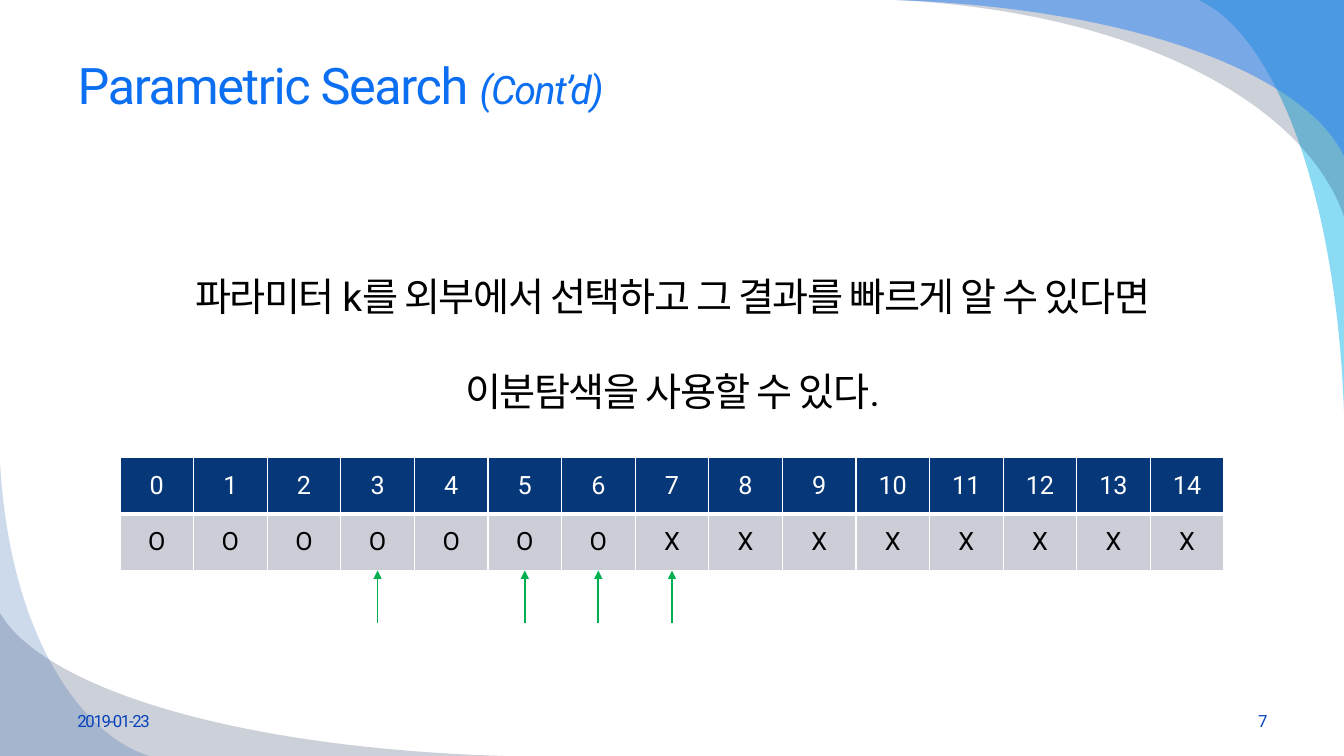
from lxml.etree import SubElement
from pptx import Presentation
from pptx.dml.color import RGBColor
from pptx.enum.shapes import MSO_CONNECTOR
from pptx.enum.text import MSO_ANCHOR, PP_ALIGN
from pptx.oxml.ns import qn
from pptx.util import Inches, Pt

FONT = "Roboto"
WHITE = RGBColor(0xFF, 0xFF, 0xFF)
BLACK = RGBColor(0x00, 0x00, 0x00)
CYAN = RGBColor(0x00, 0xB1, 0xE9)
NAVY = RGBColor(0x02, 0x17, 0x41)
BRIGHT_BLUE = RGBColor(0x24, 0x7F, 0xF4)
DEEP_BLUE = RGBColor(0x08, 0x4A, 0xA1)
TITLE_BLUE = RGBColor(0x0C, 0x6F, 0xF2)
FOOTER_BLUE = RGBColor(0x07, 0x43, 0xBC)
HEADER_BLUE = RGBColor(0x06, 0x38, 0x79)
ROW_GRAY = RGBColor(0xCC, 0xCE, 0xD7)
GREEN = RGBColor(0x00, 0xB0, 0x50)

WIDTH, HEIGHT = 13.33, 7.5
CURVE_STEPS = 60
SWOOSHES = [
    ((WIDTH, 4.08), (WIDTH, 0), (11.89, 0), CYAN, 45),
    ((8.89, 0), (WIDTH, 0), (WIDTH, 2.15), NAVY, 20),
    ((8.89, 0), (WIDTH, 0), (WIDTH, 1.55), BRIGHT_BLUE, 49),
    ((5, HEIGHT), (0, HEIGHT), (0, 6.08), NAVY, 20),
    ((0, 4.58), (0, HEIGHT), (1.48, HEIGHT), DEEP_BLUE, 20),
]
ANSWERS = "O" * 7 + "X" * 8
PROBED = [3, 5, 6, 7]


def bezier(t, first, second):
    return 3 * t * (1 - t) ** 2 * first + 3 * t**2 * (1 - t) * second + t**3


def add_swoosh(slide, start, corner, end, color, opacity):
    def curve_point(t):
        along, across = bezier(t, 0.565, 0.921), bezier(t, 0.06, 0.512)
        return tuple(
            Inches(s + along * (c - s) + across * (e - c))
            for s, c, e in zip(start, corner, end)
        )

    outline = slide.shapes.build_freeform(*map(Inches, start))
    curve = [curve_point(step / CURVE_STEPS) for step in range(CURVE_STEPS, 0, -1)]
    outline.add_line_segments([tuple(map(Inches, corner)), *curve])
    swoosh = outline.convert_to_shape()
    swoosh.shadow.inherit = False
    swoosh.line.fill.background()
    swoosh.fill.solid()
    swoosh.fill.fore_color.rgb = color
    tint = swoosh.fill._xPr.find(".//" + qn("a:srgbClr"))
    SubElement(tint, qn("a:alpha"), val=str(opacity * 1000))


def add_tight_run(paragraph, text):
    run = paragraph.add_run()
    run.text = text
    run._r.get_or_add_rPr().set("spc", "-100")
    return run


def style(paragraph, size, color, align):
    paragraph.alignment = align
    paragraph.font.name = FONT
    paragraph.font.size = Pt(size)
    paragraph.font.color.rgb = color


def place_title(slide, left, top, width, height):
    title = slide.shapes.title
    title.left, title.top = Inches(left), Inches(top)
    title.width, title.height = Inches(width), Inches(height)
    title.text_frame.vertical_anchor = MSO_ANCHOR.MIDDLE
    heading = title.text_frame.paragraphs[0]
    style(heading, 36, TITLE_BLUE, PP_ALIGN.LEFT)
    add_tight_run(heading, "Parametric Search ")
    continued = add_tight_run(heading, "(Cont’d)")
    continued.font.size = Pt(28)
    continued.font.italic = True
    title.element.getparent().append(title.element)


def add_text(slide, box, lines, size, color, align, anchor, spacing=1.0):
    frame = slide.shapes.add_textbox(*map(Inches, box)).text_frame
    frame.word_wrap = True
    frame.vertical_anchor = anchor
    for index, line in enumerate(lines):
        paragraph = frame.add_paragraph() if index else frame.paragraphs[0]
        paragraph.line_spacing = spacing
        add_tight_run(paragraph, line)
        style(paragraph, size, color, align)


def add_footer(slide, left, top, width, height):
    part = 3.11
    add_text(slide, (left, top, part, height), ["2019-01-23"], 12,
             FOOTER_BLUE, PP_ALIGN.LEFT, MSO_ANCHOR.MIDDLE)
    add_text(slide, (left + width - part, top, part, height), ["7"], 12,
             FOOTER_BLUE, PP_ALIGN.RIGHT, MSO_ANCHOR.MIDDLE)


def add_border(cell, side, width):
    line = SubElement(cell._tc.get_or_add_tcPr(), qn(f"a:ln{side}"), w=str(Pt(width)))
    SubElement(SubElement(line, qn("a:solidFill")), qn("a:srgbClr"), val=str(WHITE))


def fill_cell(cell, text, fill, color, borders):
    for side, width in borders.items():
        add_border(cell, side, width)
    cell.fill.solid()
    cell.fill.fore_color.rgb = fill
    cell.vertical_anchor = MSO_ANCHOR.MIDDLE
    cell.text = text
    style(cell.text_frame.paragraphs[0], 18, color, PP_ALIGN.CENTER)


def add_arrow(slide, x, bottom, top):
    arrow = slide.shapes.add_connector(
        MSO_CONNECTOR.STRAIGHT, *map(Inches, (x, bottom, x, top)))
    arrow.line.color.rgb = GREEN
    arrow.line.width = Pt(1.25)
    SubElement(arrow.line._get_or_add_ln(), qn("a:tailEnd"), type="triangle")
    SubElement(arrow._element.spPr, qn("a:effectLst"))


def add_search_table(slide, left, top, width, height):
    count = len(ANSWERS)
    table = slide.shapes.add_table(
        2, count, *map(Inches, (left, top, width, height))).table
    column_width = width / count
    for k, answer in enumerate(ANSWERS):
        table.columns[k].width = Inches(column_width)
        fill_cell(table.cell(0, k), str(k), HEADER_BLUE, WHITE,
                  {"L": 1, "R": 1, "T": 1, "B": 3})
        fill_cell(table.cell(1, k), answer, ROW_GRAY, BLACK,
                  {"L": 1, "R": 1, "T": 3, "B": 1})
    for k in PROBED:
        x = left + (k + 0.5) * column_width
        add_arrow(slide, x, top + height + 0.52, top + height)


def main():
    deck = Presentation()
    deck.slide_width, deck.slide_height = Inches(WIDTH), Inches(HEIGHT)
    slide = deck.slides.add_slide(deck.slide_layouts[5])
    for swoosh in SWOOSHES:
        add_swoosh(slide, *swoosh)
    place_title(slide, 0.67, 0.33, 12, 1.01)
    add_footer(slide, 0.67, 6.95, 12, 0.4)
    statement = [
        "파라미터 k를 외부에서 선택하고 그 결과를 빠르게 알 수 있다면",
        "이분탐색을 사용할 수 있다.",
    ]
    add_text(slide, (0.67, 2.19, 12, 2), statement, 28, BLACK,
             PP_ALIGN.CENTER, MSO_ANCHOR.TOP, 2.0)
    add_search_table(slide, 1.19, 4.54, 10.95, 1.12)
    deck.save("out.pptx")


if __name__ == "__main__":
    main()
